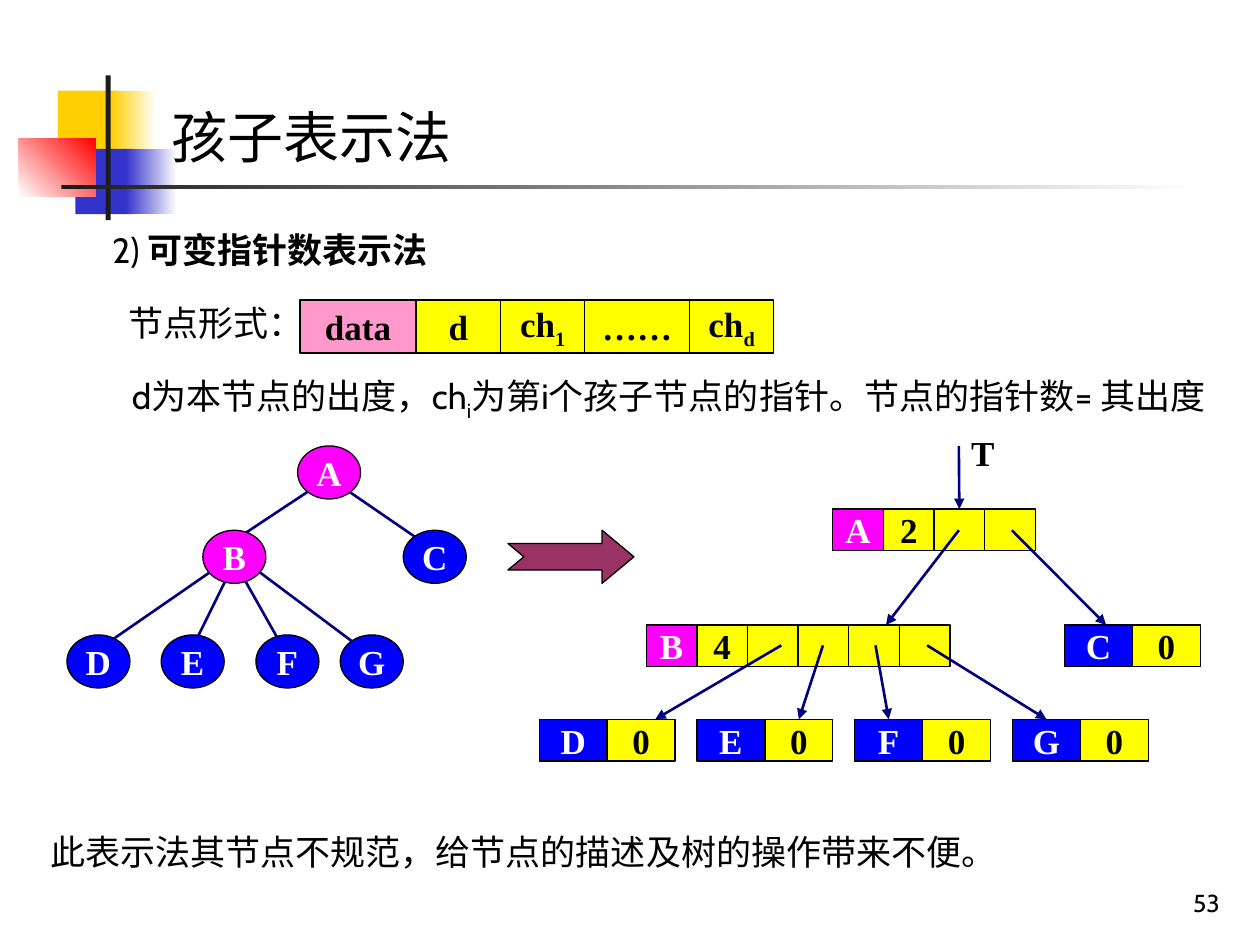
import pptx
import pptx.dml.color
import pptx.enum.shapes
import pptx.enum.text
import pptx.oxml.ns
import pptx.util
from lxml import etree

Cm = pptx.util.Cm
Pt = pptx.util.Pt
SHAPE = pptx.enum.shapes.MSO_SHAPE
ALIGN = pptx.enum.text.PP_ALIGN
ANCHOR = pptx.enum.text.MSO_ANCHOR
AUTO_SIZE = pptx.enum.text.MSO_AUTO_SIZE


class Theme:
    """Colours, fonts and type sizes of the slide."""
    black, white, dark = "000000", "FFFFFF", "1C1C1C"
    gold, indigo, red = "FFCF01", "3333CC", "FF0000"
    pink, yellow, magenta, blue = "FF99CC", "FFFF00", "FF00FF", "0000FF"
    navy, plum = "000080", "993366"
    sans, serif, cjk = "Cabin", "Times New Roman", "Noto Sans CJK JP"
    title_size, body_size, number_size = 32, 20, 14
    outline, stroke = 0.75, 1.5


def rgb(value):
    """Return a colour object for a hex string."""
    return pptx.dml.color.RGBColor.from_string(value)


def assign(target, values):
    """Set every attribute named in a dict."""
    for name, value in values.items():
        setattr(target, name, value)


def add_element(parent, tag, **attributes):
    """Append a DrawingML child element."""
    return etree.SubElement(parent, pptx.oxml.ns.qn(tag), attributes)


def write(shape, runs, color=Theme.black, font=Theme.sans, size=Theme.body_size,
          align=ALIGN.LEFT, anchor=ANCHOR.TOP, wrap=True):
    """Fill a shape with runs given as (text, bold, subscript)."""
    frame = shape.text_frame
    assign(frame, {"word_wrap": wrap, "auto_size": AUTO_SIZE.NONE, "vertical_anchor": anchor,
                   "margin_left": Cm(0.25), "margin_right": Cm(0.25),
                   "margin_top": Cm(0.13), "margin_bottom": Cm(0.13)})
    paragraph = frame.paragraphs[0]
    paragraph.alignment = align
    for text, bold, subscript in runs:
        run = paragraph.add_run()
        run.text = text
        assign(run.font, {"size": Pt(size), "bold": bold, "name": font})
        run.font.color.rgb = rgb(color)
        properties = run.font._element
        add_element(properties, "a:ea", typeface=Theme.cjk)
        if subscript:
            properties.set("baseline", "-25000")


def add_text(slide, box, runs, **style):
    """Add a text box at a box in centimetres."""
    shape = slide.shapes.add_textbox(*map(Cm, box))
    write(shape, runs, **style)
    return shape


def add_block(slide, kind, box, fill, outlined=True):
    """Add a filled preset shape; a tuple fill is (start, end, angle)."""
    shape = slide.shapes.add_shape(kind, *map(Cm, box))
    shape.shadow.inherit = False
    if isinstance(fill, tuple):
        shape.fill.gradient()
        shape.fill.gradient_angle = fill[2]
        for stop, color in zip(shape.fill.gradient_stops, fill):
            stop.color.rgb = rgb(color)
    else:
        shape.fill.solid()
        shape.fill.fore_color.rgb = rgb(fill)
    if outlined:
        shape.line.color.rgb = rgb(Theme.black)
        shape.line.width = Pt(Theme.outline)
    else:
        shape.line.fill.background()
    return shape


def add_label(slide, kind, box, fill, runs):
    """Add an outlined shape with a bold centred label."""
    shape = add_block(slide, kind, box, fill)
    color = Theme.white if fill in (Theme.magenta, Theme.blue) else Theme.black
    if runs:
        write(shape, runs, color=color, font=Theme.serif, align=ALIGN.CENTER,
              anchor=ANCHOR.MIDDLE, wrap=False)
    return shape


def add_line(slide, origin, start, end, arrow=False):
    """Draw a line to a point, or to the top middle of a shape."""
    left, top = origin
    point = start if hasattr(end, "shape_id") else end
    line = slide.shapes.add_connector(
        pptx.enum.shapes.MSO_CONNECTOR.STRAIGHT, Cm(left + start[0]), Cm(top + start[1]),
        Cm(left + point[0]), Cm(top + point[1]))
    if point is not end:
        line.end_connect(end, 0)
    line.line.color.rgb = rgb(Theme.navy)
    line.line.width = Pt(Theme.stroke)
    if arrow:
        add_element(line.line._get_or_add_ln(), "a:tailEnd", type="triangle")
    add_element(line._element.spPr, "a:effectLst")


def add_cells(slide, left, top, height, cells):
    """Lay (width, fill, runs) cells side by side and return them."""
    shapes = []
    for width, fill, runs in cells:
        shapes.append(add_label(slide, SHAPE.RECTANGLE, (left, top, width, height), fill, runs))
        left += width
    return shapes


def add_decoration(slide, left, top):
    """Draw the coloured squares and rules beside the title."""
    parts = [
        (0.79, 0.31, 1.22, 1.32, Theme.gold),
        (1.86, 0.31, 0.91, 1.32, (Theme.gold, Theme.white, 0)),
        (1.14, 1.48, 1.17, 1.32, Theme.indigo),
        (2.16, 1.48, 1.02, 1.32, (Theme.indigo, Theme.white, 0)),
        (0, 1.27, 1.55, 1.17, (Theme.white, Theme.red, 45)),
        (1.75, 0, 0.1, 2.92, Theme.dark),
        (0.86, 2.21, 22.86, 0.08, (Theme.dark, Theme.white, 0)),
    ]
    for x, y, width, height, fill in parts:
        add_block(slide, SHAPE.RECTANGLE, (left + x, top + y, width, height), fill, False)


def add_title(slide, box):
    """Place the title placeholder above the decoration."""
    title = slide.shapes.title
    slide.shapes.element.append(title.element)
    assign(title, dict(zip(("left", "top", "width", "height"), map(Cm, box))))
    write(title, [("孩子表示法", False, False)], font=Theme.cjk, size=Theme.title_size)


def add_node_format(slide, left, top):
    """Show the node layout with its label."""
    add_text(slide, (left, top, 4.19, 1.12), [("节点形式：", False, False)])
    child = ("ch", True, False)
    add_cells(slide, left + 3.71, top + 0.11, 1.07, [
        (2.34, Theme.pink, [("data", True, False)]),
        (1.7, Theme.yellow, [("d", True, False)]),
        (1.7, Theme.yellow, [child, ("1", True, True)]),
        (2.11, Theme.yellow, [("……", True, False)]),
        (1.7, Theme.yellow, [child, ("d", True, True)]),
    ])


def add_tree(slide, left, top):
    """Draw the tree of nodes A to G."""
    edges = [((5.28, 0.64), (3.38, 1.9)), ((5.28, 0.64), (7.42, 2.11)),
             ((3.18, 2.34), (0.43, 4.24)), ((3.38, 2.34), (2.34, 4.45)),
             ((3.38, 2.34), (4.45, 4.24)), ((3.61, 2.34), (6.15, 4.24))]
    nodes = {"A": (4.65, 0), "B": (2.74, 1.7), "C": (6.78, 1.7), "D": (0, 3.81),
             "E": (1.9, 3.81), "F": (3.81, 3.81), "G": (5.51, 3.81)}
    for start, end in edges:
        add_line(slide, (left, top), start, end)
    for name, (x, y) in nodes.items():
        fill = Theme.magenta if name in "AB" else Theme.blue
        add_label(slide, SHAPE.OVAL, (left + x, top + y, 1.27, 1.07), fill, [(name, True, False)])


def add_records(slide, left, top):
    """Draw the linked records with variable pointer counts."""
    places = {"A": (5.92, 1.7, 2), "B": (2.16, 4.04, 4), "C": (10.59, 4.04, 0)}
    places.update({name: (3.18 * index, 5.94, 0) for index, name in enumerate("DEFG")})
    records = {}
    for name, (x, y, degree) in places.items():
        width, fill = (1.02, Theme.magenta) if degree else (1.37, Theme.blue)
        cells = [(width, fill, [(name, True, False)]),
                 (width, Theme.yellow, [(str(degree), True, False)])]
        cells += [(width, Theme.yellow, [])] * degree
        records[name] = add_cells(slide, left + x, top + y, 0.84, cells)
    add_text(slide, (left + 8.46, top, 1.47, 1.12), [("T", True, False)], font=Theme.serif)
    arrows = [((8.46, 0.43), records["A"][2]),
              ((8.46, 2.13), (6.99, 4.04)), ((9.53, 2.13), (11.43, 4.04)),
              ((4.88, 4.45), (2.34, 5.94)), ((5.72, 4.45), records["E"][1]),
              ((6.78, 4.45), records["F"][0]), ((7.82, 4.45), records["G"][0])]
    for start, end in arrows:
        add_line(slide, (left, top), start, end, arrow=True)


def main():
    """Build and save the slide."""
    presentation = pptx.Presentation()
    assign(presentation, {"slide_width": Cm(25.4), "slide_height": Cm(19.05)})
    slide = presentation.slides.add_slide(presentation.slide_layouts[5])
    add_decoration(slide, 0.38, 1.52)
    add_title(slide, (3.2, 1.93, 22.2, 1.63))
    add_text(slide, (2.01, 4.47, 13.7, 1.12),
             [("2) ", False, False), ("可变指针数表示法", True, False)])
    add_node_format(slide, 2.34, 5.94)
    add_text(slide, (2.41, 7.42, 22.48, 2.08),
             [("d为本节点的出度，ch", False, False), ("i", False, True),
              ("为第i个孩子节点的指针。节点的指针数= 其出度", False, False)])
    add_tree(slide, 1.35, 8.99)
    arrow = add_block(slide, SHAPE.NOTCHED_RIGHT_ARROW, (10.24, 10.69, 2.54, 1.07), Theme.plum)
    arrow.adjustments[1] = 0.6
    add_records(slide, 10.87, 8.56)
    add_text(slide, (0.76, 16.61, 22.43, 1.12),
             [("此表示法其节点不规范，给节点的描述及树的操作带来不便。", False, False)],
             font=Theme.serif)
    add_text(slide, (19.56, 17.35, 5.28, 1.27), [("53", False, False)],
             size=Theme.number_size, align=ALIGN.RIGHT, anchor=ANCHOR.BOTTOM)
    presentation.save("out.pptx")


if __name__ == "__main__":
    main()
